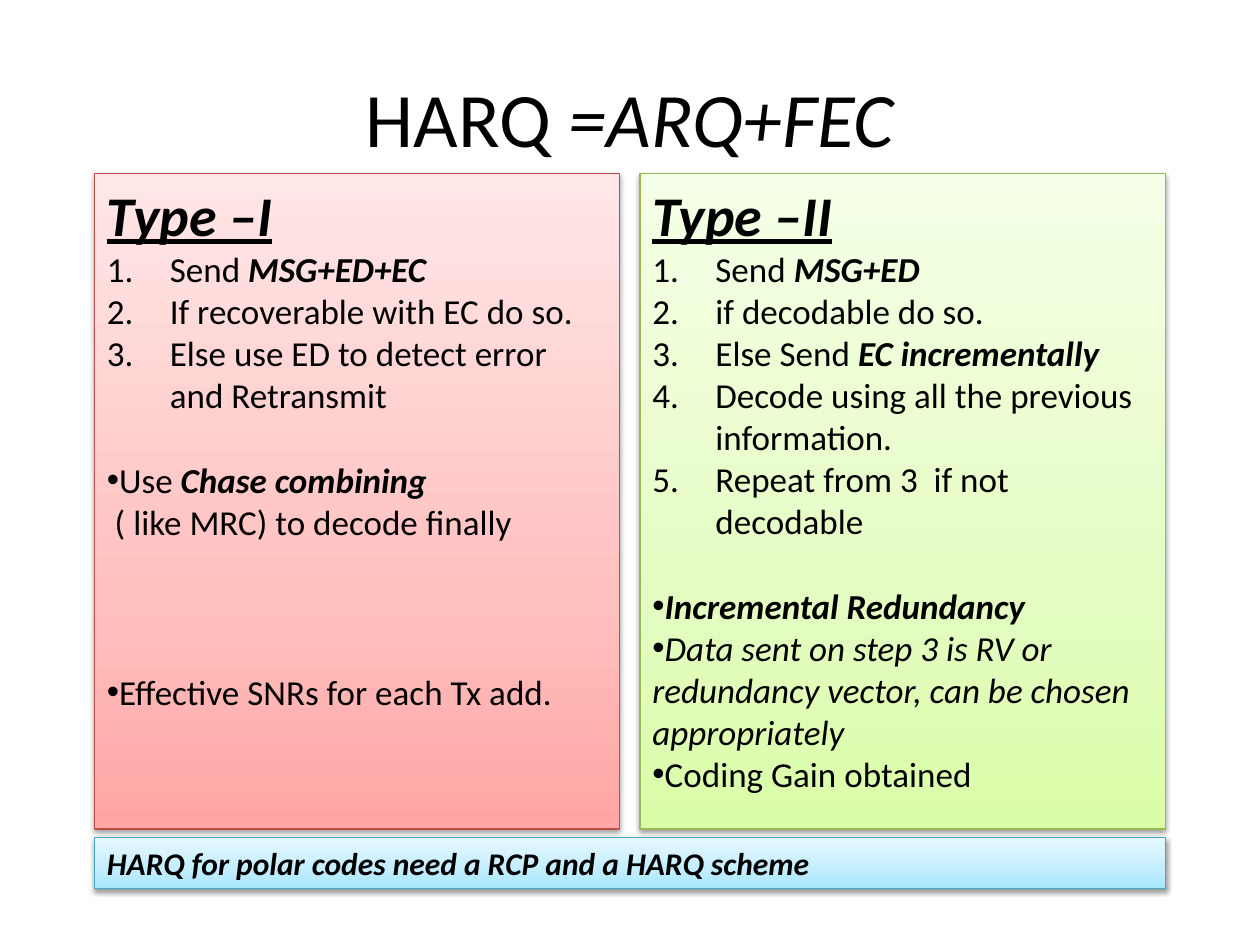
"""Build the HARQ slide comparing Type I and Type II schemes."""
from copy import deepcopy
from dataclasses import dataclass

from pptx import Presentation
from pptx.dml.color import RGBColor
from pptx.enum.shapes import MSO_SHAPE
from pptx.enum.text import MSO_ANCHOR, PP_ALIGN
from pptx.oxml import parse_xml
from pptx.oxml.ns import nsdecls, qn
from pptx.util import Inches, Pt


@dataclass(frozen=True)
class Theme:
    font: str = "Calibri"
    ink: str = "000000"
    red: tuple = ("BF4C48", "FFA6A5", "FFC0BF", "FFE7E7")
    green: tuple = ("98B955", "DAFDA7", "E4FCC2", "F5FFE7")
    blue: tuple = ("46AAC5", "A7E6FF", "C1EDFF", "E7F8FF")
    title: int = 44
    heading: int = 32
    body: int = 20
    note: int = 18
    line: float = 24.4


THEME = Theme()
TITLE = [("HARQ ", ""), ("=ARQ+FEC", "i")]
NOTE = [("HARQ for polar codes need a RCP and a HARQ scheme", "bi")]
PANELS = [
    ("Type –I", THEME.red, [
        ("number", 0, [("Send ", ""), ("MSG+ED+EC", "bi")]),
        ("number", 0, [("If recoverable with EC do so.", "")]),
        ("number", 0, [("Else use ED to detect error and Retransmit", "")]),
        ("bullet", 1, [("Use ", ""), ("Chase combining", "bi")]),
        ("plain", 0, [(" ( like MRC) to decode finally", "")]),
        ("bullet", 3, [("Effective SNRs for each Tx add.", "")]),
    ]),
    ("Type –II", THEME.green, [
        ("number", 0, [("Send ", ""), ("MSG+ED", "bi")]),
        ("number", 0, [("if decodable do so.", "")]),
        ("number", 0, [("Else Send ", ""), ("EC incrementally", "bi")]),
        ("number", 0, [("Decode using all the previous information.", "")]),
        ("number", 0, [("Repeat from 3  if not decodable", "")]),
        ("bullet", 1, [("Incremental Redundancy", "bi")]),
        ("bullet", 0, [("Data sent on step 3 is RV or redundancy vector, "
                        "can be chosen appropriately", "i")]),
        ("bullet", 0, [("Coding Gain obtained", "")]),
    ]),
]

LEFT, TOP, WIDTH, HEIGHT, GAP = 0.75, 1.38, 8.5, 5.2, 0.16
PANEL_WIDTH = (WIDTH - GAP) / 2


def write(frame, spans, size, first=False, marker="plain", gap=0, align=PP_ALIGN.LEFT):
    """Write one paragraph of (text, style letters) spans."""
    para = frame.paragraphs[0] if first else frame.add_paragraph()
    para.alignment = align
    para.space_before = Pt(gap * THEME.line)
    for text, style in spans:
        span = para.add_run()
        span.text = text
        font = span.font
        font.name, font.size = THEME.font, Pt(size)
        font.color.rgb = RGBColor.from_string(THEME.ink)
        font.bold, font.italic, font.underline = (key in style for key in "biu")
    properties = para._p.get_or_add_pPr()
    if marker == "number":
        properties.set("marL", str(Inches(0.5)))
        properties.set("indent", str(-Inches(0.5)))
        properties.append(parse_xml(
            f'<a:buFont {nsdecls("a")} typeface="+mj-lt"/>'))
        properties.append(parse_xml(
            f'<a:buAutoNum {nsdecls("a")} type="arabicPeriod"/>'))
    elif marker == "bullet":
        properties.append(parse_xml(f'<a:buFont {nsdecls("a")} typeface="Arial"/>'))
        properties.append(parse_xml(f'<a:buChar {nsdecls("a")} char="•"/>'))


def add_panel(page, left, top, width, height, palette):
    """Add a gradient rectangle with a soft shadow and return its text frame."""
    border, *colors = palette
    box = page.shapes.add_shape(MSO_SHAPE.RECTANGLE, *map(Inches, (left, top, width, height)))
    box.fill.gradient()
    box.fill.gradient_angle = 90
    stops = box._element.spPr.find(qn("a:gradFill")).find(qn("a:gsLst"))
    stops.append(deepcopy(stops[-1]))
    for stop, color, position in zip(box.fill.gradient_stops, colors, (0, 0.35, 1)):
        stop.color.rgb = RGBColor.from_string(color)
        stop.position = position
    box.line.color.rgb = RGBColor.from_string(border)
    box.line.width = Pt(0.75)
    box.shadow.inherit = False
    box._element.spPr.find(qn("a:effectLst")).append(parse_xml(
        f'<a:outerShdw {nsdecls("a")} blurRad="{Pt(3.1)}" dist="{Pt(1.6)}" '
        'dir="5400000" rotWithShape="0"><a:srgbClr val="000000">'
        '<a:alpha val="38000"/></a:srgbClr></a:outerShdw>'))
    frame = box.text_frame
    frame.word_wrap = True
    frame.vertical_anchor = MSO_ANCHOR.TOP
    return frame


deck = Presentation()
deck.slide_width, deck.slide_height = Inches(10), Inches(7.5)
page = deck.slides.add_slide(deck.slide_layouts[6])

title = page.shapes.add_textbox(Inches(0.5), Inches(0.3), Inches(9), Inches(1.25)).text_frame
title.word_wrap = True
title.vertical_anchor = MSO_ANCHOR.MIDDLE
write(title, TITLE, THEME.title, first=True, align=PP_ALIGN.CENTER)

for column, (heading, palette, items) in enumerate(PANELS):
    left = LEFT + column * (PANEL_WIDTH + GAP)
    panel = add_panel(page, left, TOP, PANEL_WIDTH, HEIGHT, palette)
    write(panel, [(heading, "biu")], THEME.heading, first=True)
    for marker, gap, spans in items:
        write(panel, spans, THEME.body, marker=marker, gap=gap)

note = add_panel(page, LEFT, 6.65, WIDTH, 0.4, THEME.blue)
write(note, NOTE, THEME.note, first=True)

deck.save("out.pptx")
